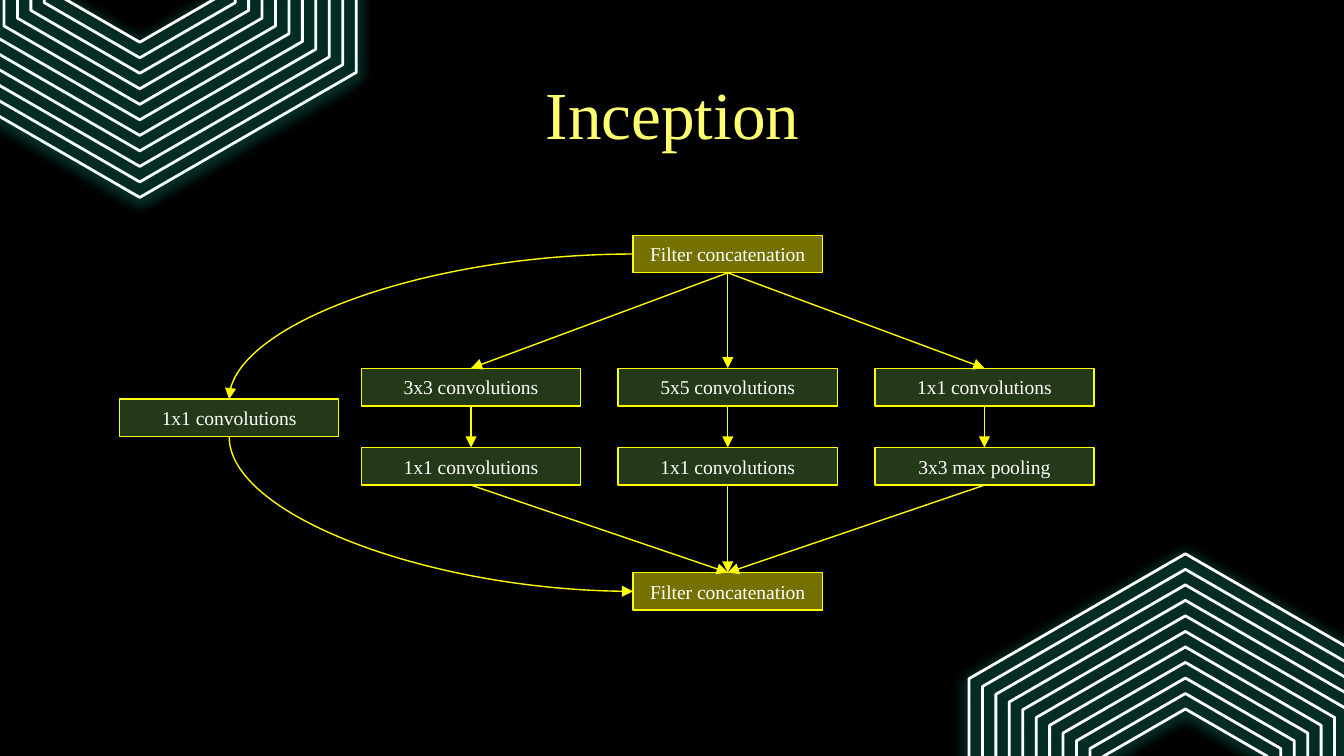
from math import cos, radians, sin

from lxml import etree
from pptx import Presentation
from pptx.dml.color import RGBColor
from pptx.enum.shapes import MSO_CONNECTOR, MSO_SHAPE
from pptx.enum.text import MSO_ANCHOR, MSO_AUTO_SIZE, PP_ALIGN
from pptx.oxml.ns import qn
from pptx.util import Inches, Pt

RECT = MSO_SHAPE.RECTANGLE
LINE, CURVE = MSO_CONNECTOR.STRAIGHT, MSO_CONNECTOR.CURVE
CENTER, MIDDLE = PP_ALIGN.CENTER, MSO_ANCHOR.MIDDLE
GROW = MSO_AUTO_SIZE.SHAPE_TO_FIT_TEXT
TOP, LEFT, BOTTOM = 0, 1, 2

COLORS = {
    "back": "000000", "title": "FFFF70", "text": "FFFFFF", "edge": "FFFF00",
    "concat": "747100", "conv": "243917", "hex": "FFFFFF", "glow": "1FFFCE",
}
TITLE_FONT = {"name": "Times New Roman", "size": Pt(36)}
BOX_FONT = {"name": "Times New Roman", "size": Pt(10.5)}
TITLE_FRAME = {
    "word_wrap": True, "vertical_anchor": MIDDLE,
    "margin_left": Inches(0.1), "margin_right": Inches(0.1),
    "margin_top": Inches(0.1), "margin_bottom": Inches(0.1),
}
BOX_FRAME = {"word_wrap": True, "vertical_anchor": MIDDLE, "auto_size": GROW}

# Layout of the diagram
BOX_H = 0.28
CONV_W, CONCAT_W = 1.63, 1.41
COLS = [2.69 + 1.91 * i for i in range(3)]
ROWS = [2.74, 3.33]
NAMES = [
    ["3x3 convolutions", "5x5 convolutions", "1x1 convolutions"],
    ["1x1 convolutions", "1x1 convolutions", "3x3 max pooling"],
]


def rgb(key):
    return RGBColor.from_string(COLORS[key])


def apply(target, values):
    for name, value in values.items():
        setattr(target, name, value)


def add_sub(parent, tag, **attrs):
    return etree.SubElement(parent, qn(tag), attrs)


def write(shape, text, frame, font, color):
    apply(shape.text_frame, frame)
    par = shape.text_frame.paragraphs[0]
    par.alignment = CENTER
    run = par.add_run()
    run.text = text
    apply(run.font, font)
    run.font.color.rgb = rgb(color)


def add_title(slide, text):
    box = slide.shapes.add_textbox(
        Inches(0.76), Inches(0.53), Inches(8.49), Inches(0.61))
    write(box, text, TITLE_FRAME, TITLE_FONT, "title")


def add_box(slide, text, left, top, width, fill):
    box = slide.shapes.add_shape(
        RECT, Inches(left), Inches(top), Inches(width), Inches(BOX_H))
    box.shadow.inherit = False
    box.fill.solid()
    box.fill.fore_color.rgb = rgb(fill)
    box.line.color.rgb = rgb("edge")
    box.line.width = Pt(0.75)
    write(box, text, BOX_FRAME, BOX_FONT, "text")
    return box


def add_arrow(slide, start, end, kind=LINE, exit_side=BOTTOM, entry=TOP):
    link = slide.shapes.add_connector(kind, 0, 0, 0, 0)
    link.begin_connect(start, exit_side)
    link.end_connect(end, entry)
    link.line.color.rgb = rgb("edge")
    link.line.width = Pt(0.75)
    add_sub(link.line._get_or_add_ln(), "a:tailEnd", type="triangle")
    props = link._element.spPr
    add_sub(props, "a:effectLst")
    if kind == CURVE:
        props.find(qn("a:prstGeom")).set("prst", "curvedConnector2")
        if exit_side == BOTTOM:
            turn(link)


def turn(link):
    """Let a quarter curve leave downwards and arrive sideways."""
    mid_x = link.left + link.width // 2
    mid_y = link.top + link.height // 2
    width, height = link.height, link.width
    apply(link, {"left": mid_x - width // 2, "top": mid_y - height // 2,
                 "width": width, "height": height})
    frame = link._element.spPr.find(qn("a:xfrm"))
    frame.set("rot", "16200000")
    frame.set("flipH", "1")


def add_hex(slide, mid_x, mid_y, half):
    radius = half / cos(radians(30))
    pts = [(Inches(mid_x + radius * cos(radians(a))),
            Inches(mid_y + radius * sin(radians(a))))
           for a in range(-90, 270, 60)]
    path = slide.shapes.build_freeform(*pts[0])
    path.add_line_segments(pts[1:], close=True)
    shape = path.convert_to_shape()
    shape.fill.background()
    shape.line.color.rgb = rgb("hex")
    shape.line.width = Pt(1.5)
    # Soft green glow below the outline
    effects = add_sub(shape._element.spPr, "a:effectLst")
    glow = add_sub(effects, "a:outerShdw", blurRad=str(Pt(7.9)),
                   dist=str(Pt(1.5)), dir="5400000", algn="bl",
                   rotWithShape="0")
    tint = add_sub(glow, "a:srgbClr", val=COLORS["glow"])
    add_sub(tint, "a:alpha", val="90000")


def main():
    deck = Presentation()
    # Widescreen, 16 to 9
    deck.slide_width = Inches(10)
    deck.slide_height = Inches(10) * 9 // 16
    slide = deck.slides.add_slide(deck.slide_layouts[6])
    slide.background.fill.solid()
    slide.background.fill.fore_color.rgb = rgb("back")

    # Nested hexagons in two corners
    for mid_x, mid_y in [(1.04, -0.39), (8.82, 5.98)]:
        for i in range(11):
            add_hex(slide, mid_x, mid_y, 1.61 - 0.1 * i)

    add_title(slide, "Inception")

    # Boxes
    first, last = [
        add_box(slide, "Filter concatenation", 4.71, top, CONCAT_W, "concat")
        for top in (1.75, 4.26)]
    side = add_box(slide, "1x1 convolutions", 0.89, 2.97, CONV_W, "conv")
    upper, lower = [
        [add_box(slide, name, left, top, CONV_W, "conv")
         for name, left in zip(names, COLS)]
        for names, top in zip(NAMES, ROWS)]

    # Arrows down the three columns, then around the side box
    for high, low in zip(upper, lower):
        add_arrow(slide, first, high)
        add_arrow(slide, high, low)
        add_arrow(slide, low, last)
    add_arrow(slide, first, side, CURVE, exit_side=LEFT)
    add_arrow(slide, side, last, CURVE, entry=LEFT)

    deck.save("out.pptx")


if __name__ == "__main__":
    main()
